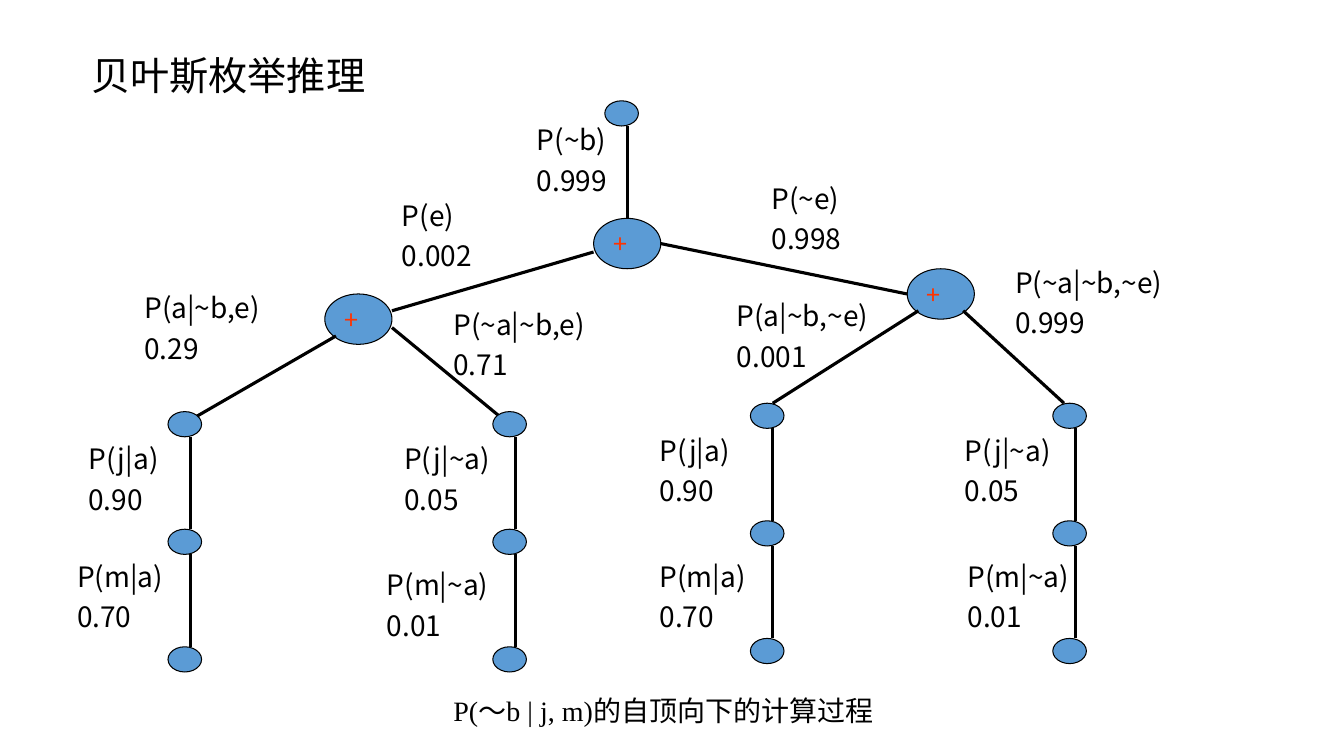
from lxml.etree import SubElement
from pptx import Presentation
from pptx.dml.color import RGBColor
from pptx.enum.shapes import MSO_CONNECTOR, MSO_SHAPE
from pptx.enum.text import MSO_ANCHOR, MSO_AUTO_SIZE, PP_ALIGN
from pptx.oxml.ns import qn
from pptx.util import Pt

EMU_PER_PX = 5080
SLIDE_SIZE = (2400, 1350)
BLACK = RGBColor(0x00, 0x00, 0x00)
BLUE = RGBColor(0x5B, 0x9B, 0xD5)
RED = RGBColor(0xFF, 0x33, 0x00)
CJK = "Noto Sans CJK SC"

LEAF_SIZE = (60, 45)
SUM_SIZE = (120, 90)
LABEL_HEIGHT = 168
LEVEL_STEP = 210
EDGE_SHIFT = 40

TITLE_FORMAT = {"anchor": MSO_ANCHOR.MIDDLE, "auto_size": MSO_AUTO_SIZE.NONE, "word_wrap": True}
LABEL_FORMAT = {"auto_size": MSO_AUTO_SIZE.SHAPE_TO_FIT_TEXT, "word_wrap": True}
SUM_FORMAT = {"anchor": MSO_ANCHOR.MIDDLE, "word_wrap": False}

SUMS = [(1060, 390), (1620, 480), (580, 525)]
BRANCHES = [
    ((600, 600), (340, 750)),
    ((1060, 450), (700, 555)),
    ((1180, 435), (1620, 525)),
    ((1720, 555), (1900, 720)),
    ((1640, 555), (1380, 720)),
    ((700, 585), (900, 750)),
]
BRANCH_LABELS = [
    (941, 210, 220, "P(~b)", "0.999"),
    (700, 345, 220, "P(e)", "0.002"),
    (1360, 315, 220, "P(~e)", "0.998"),
    (240, 510, 280, "P(a|~b,e)", "0.29"),
    (792, 540, 320, "P(~a|~b,e)", "0.71"),
    (1298, 525, 320, "P(a|~b,~e)", "0.001"),
    (1795, 465, 360, "P(~a|~b,~e)", "0.999"),
]
ALARM = [(200, "P(j|a)", "0.90"), (220, "P(m|a)", "0.70")]
NO_ALARM = [(240, "P(j|~a)", "0.05"), (260, "P(m|~a)", "0.01")]
CHAINS = [
    (300, 735, ALARM, [(-160, 45), (-180, 255)]),
    (880, 735, NO_ALARM, [(-176, 45), (-207, 270)]),
    (1340, 720, ALARM, [(-180, 45), (-180, 270)]),
    (1880, 720, NO_ALARM, [(-175, 45), (-170, 270)]),
]


def px(*lengths):
    """Turn px lengths into EMU."""
    return [length * EMU_PER_PX for length in lengths]


def apply_format(target, values):
    """Set each named attribute of the target."""
    for attribute, value in values.items():
        setattr(target, attribute, value)


def add_text(paragraph, text, size=20, color=BLACK, latin=CJK):
    """Add a run with its Latin and East Asian fonts."""
    run = paragraph.add_run()
    run.text = text
    apply_format(run.font, {"size": Pt(size), "name": latin})
    run.font.color.rgb = color
    SubElement(run.font._element, qn("a:ea"), typeface=CJK)


def add_node(slide, left, top, size):
    """Draw an outlined ellipse node."""
    node = slide.shapes.add_shape(MSO_SHAPE.OVAL, *px(left, top, *size))
    node.shadow.inherit = False
    node.fill.solid()
    node.fill.fore_color.rgb = BLUE
    node.line.color.rgb = BLACK
    node.line.width = Pt(0.75)
    return node


def add_sum(slide, left, top):
    """Draw a summation node with its plus sign."""
    node = add_node(slide, left, top, SUM_SIZE)
    apply_format(node.text_frame, SUM_FORMAT)
    plus = node.text_frame.paragraphs[0]
    plus.alignment = PP_ALIGN.LEFT
    add_text(plus, "+", 18, RED)
    return node


def add_edge(slide, start, end):
    """Draw a straight tree edge."""
    edge = slide.shapes.add_connector(MSO_CONNECTOR.STRAIGHT, *px(*start, *end))
    edge.line.color.rgb = BLACK
    edge.line.width = Pt(2.25)
    SubElement(edge._element.spPr, qn("a:effectLst"))
    return edge


def add_label(slide, left, top, width, term, value):
    """Write a probability term above its value."""
    label = slide.shapes.add_textbox(*px(left, top, width, LABEL_HEIGHT)).text_frame
    apply_format(label, LABEL_FORMAT)
    add_text(label.paragraphs[0], term)
    value_line = label.add_paragraph()
    value_line.space_before = Pt(5)
    add_text(value_line, value)


def add_title(slide, left, top, width, height):
    """Place and format the title placeholder."""
    title = slide.shapes.title
    box = dict(zip(("left", "top", "width", "height"), px(left, top, width, height)))
    apply_format(title, box)
    apply_format(title.text_frame, TITLE_FORMAT)
    heading = title.text_frame.paragraphs[0]
    apply_format(heading, {"alignment": PP_ALIGN.LEFT, "line_spacing": 0.9})
    add_text(heading, "贝叶斯枚举推理", 28, latin="Calibri")


def add_upper_tree(slide, left, top):
    """Draw the top node, the sums and their labelled branches."""
    add_node(slide, left, top, LEAF_SIZE)
    root, *_ = [add_sum(slide, *corner) for corner in SUMS]
    stem_x = left + EDGE_SHIFT
    stem = add_edge(slide, (stem_x, top + LEAF_SIZE[1]), (stem_x, SUMS[0][1]))
    stem.end_connect(root, 0)
    for start, end in BRANCHES:
        add_edge(slide, start, end)
    for label in BRANCH_LABELS:
        add_label(slide, *label)


def add_chain(slide, left, top, terms, offsets):
    """Draw three stacked nodes joined by two labelled edges."""
    levels = [top + LEVEL_STEP * level for level in range(3)]
    for level in levels:
        add_node(slide, left, level, LEAF_SIZE)
    edge_x = left + EDGE_SHIFT
    for upper, lower in zip(levels, levels[1:]):
        add_edge(slide, (edge_x, upper + LEAF_SIZE[1]), (edge_x, lower))
    for (width, term, value), (dx, dy) in zip(terms, offsets):
        add_label(slide, left + dx, top + dy, width, term, value)


def add_caption(slide, left, top, width, height):
    """Write the caption under the tree."""
    caption = slide.shapes.add_textbox(*px(left, top, width, height)).text_frame
    apply_format(caption, LABEL_FORMAT)
    line = caption.paragraphs[0]
    add_text(line, "P(～b | j, m)", latin="Times New Roman")
    add_text(line, "的自顶向下的计算过程")


def main():
    """Build and save the enumeration slide."""
    deck = Presentation()
    deck.slide_width, deck.slide_height = px(*SLIDE_SIZE)
    slide = deck.slides.add_slide(deck.slide_layouts.get_by_name("Title Only"))
    add_title(slide, 145, 8, 2070, 261)
    add_upper_tree(slide, 1080, 180)
    for chain in CHAINS:
        add_chain(slide, *chain)
    add_caption(slide, 792, 1230, 1480, 80)
    deck.save("out.pptx")


if __name__ == "__main__":
    main()
